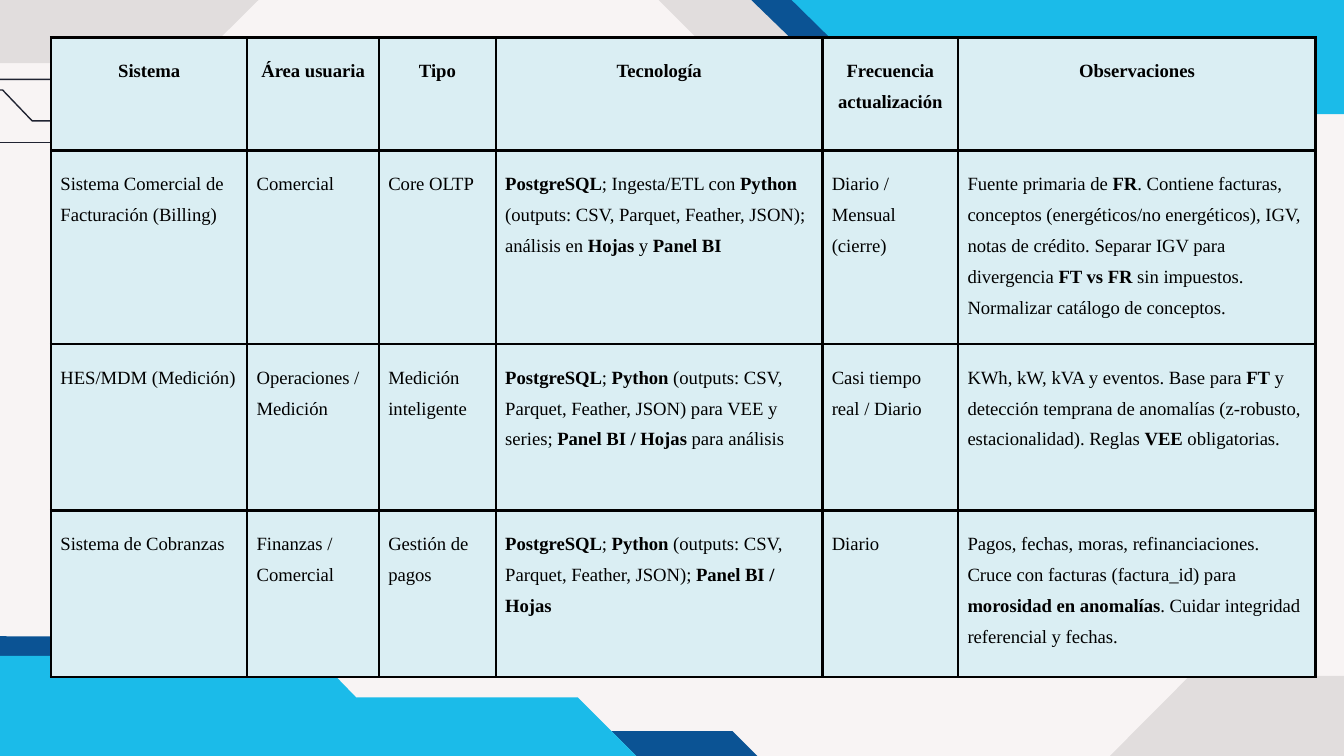
from lxml import etree
from pptx import Presentation
from pptx import util as u
from pptx.dml.color import RGBColor
from pptx.enum import shapes, text
from pptx.oxml import ns

COLORS = {
    "background": "F8F4F4",
    "black": "000000",
    "navy": "0B5394",
    "cyan": "1BBBE9",
    "line": "202331",
    "cell": "DAEEF3",
}
FONT = "Times New Roman"

# Outline points in inches, fill colour, opacity in percent
BANDS = [
    ([(1.45, 0.47), (2.58, -0.65), (4.25, -0.65), (5.36, 0.46), (9.46, 0.46),
      (9.46, -1.62), (-0.7, -1.62), (-0.7, 0.47)], "black", 9),
    ([(10.69, 5.03), (10.69, 7.04), (6.84, 7.05), (8.85, 5.03)], "black", 9),
    ([(5.65, 5.64), (5.45, 5.44), (4.55, 5.44), (4.75, 5.64)], "navy", 100),
    ([(7.15, 0.29), (6.85, 0), (5.59, 0), (5.89, 0.29)], "navy", 100),
    ([(-0.8, 4.73), (1, 4.74), (1.19, 4.93), (-0.8, 4.92)], "navy", 100),
    ([(10.74, 0.85), (10.74, -2.45), (5.15, -2.45), (5.15, -0.03), (5.86, -0.03),
      (6.45, 0.55), (8.09, 0.55), (8.4, 0.85)], "cyan", 100),
    ([(0, 4.88), (0, 8.18), (5.59, 8.18), (5.59, 5.77), (4.88, 5.77),
      (4.3, 5.19), (2.65, 5.19), (2.35, 4.88)], "cyan", 100),
]
CIRCUIT_TRACES = [
    [(-1.47, 0.67), (0.02, 0.67), (0.24, 0.9), (1.63, 0.9)],
    [(-1.42, 0.59), (0.44, 0.59), (0.62, 0.77), (1.19, 0.77)],
]

COLUMN_WIDTHS = [1.46, 0.98, 0.87, 2.43, 1.01, 2.66]
ROW_HEIGHTS = [0.84, 1.44, 1.24, 1.24]
# Text between double asterisks is bold
ROWS = [
    ["**Sistema**", "**Área usuaria**", "**Tipo**", "**Tecnología**",
     "**Frecuencia actualización**", "**Observaciones**"],
    ["Sistema Comercial de Facturación (Billing)", "Comercial", "Core OLTP",
     "**PostgreSQL**; Ingesta/ETL con **Python** (outputs: CSV, Parquet, Feather, JSON); "
     "análisis en **Hojas** y **Panel BI**",
     "Diario / Mensual (cierre)",
     "Fuente primaria de **FR**. Contiene facturas, conceptos (energéticos/no energéticos), "
     "IGV, notas de crédito. Separar IGV para divergencia **FT vs FR** sin impuestos. "
     "Normalizar catálogo de conceptos."],
    ["HES/MDM (Medición)", "Operaciones / Medición", "Medición inteligente",
     "**PostgreSQL**; **Python** (outputs: CSV, Parquet, Feather, JSON) para VEE y series; "
     "**Panel BI / Hojas** para análisis",
     "Casi tiempo real / Diario",
     "KWh, kW, kVA y eventos. Base para **FT** y detección temprana de anomalías "
     "(z-robusto, estacionalidad). Reglas **VEE** obligatorias."],
    ["Sistema de Cobranzas", "Finanzas / Comercial", "Gestión de pagos",
     "**PostgreSQL**; **Python** (outputs: CSV, Parquet, Feather, JSON); **Panel BI / Hojas**",
     "Diario",
     "Pagos, fechas, moras, refinanciaciones. Cruce con facturas (factura_id) para "
     "**morosidad en anomalías**. Cuidar integridad referencial y fechas."],
]


def color(name):
    return RGBColor.from_string(COLORS[name])


def add_outline(slide, points, close):
    corners = [(u.Inches(x), u.Inches(y)) for x, y in points]
    builder = slide.shapes.build_freeform(*corners[0])
    builder.add_line_segments(corners[1:], close=close)
    shape = builder.convert_to_shape()
    shape.shadow.inherit = False
    return shape


def style_line(line):
    line.color.rgb = color("line")
    line.width = u.Pt(0.75)


def add_band(slide, points, fill, opacity):
    shape = add_outline(slide, points, close=True)
    shape.fill.solid()
    shape.fill.fore_color.rgb = color(fill)
    shape.line.fill.background()
    if opacity < 100:
        fill_color = shape._element.spPr.find(f".//{ns.qn('a:srgbClr')}")
        etree.SubElement(fill_color, ns.qn("a:alpha"), val=str(opacity * 1000))


def add_trace(slide, points):
    shape = add_outline(slide, points, close=False)
    shape.fill.background()
    style_line(shape.line)


def add_straight_trace(slide, left, right, top):
    connector = slide.shapes.add_connector(
        shapes.MSO_CONNECTOR.STRAIGHT,
        u.Inches(left), u.Inches(top), u.Inches(right), u.Inches(top))
    style_line(connector.line)
    etree.SubElement(connector._element.spPr, ns.qn("a:effectLst"))


def add_borders(cell):
    properties = cell._tc.get_or_add_tcPr()
    for side in ("lnL", "lnR", "lnT", "lnB"):
        border = etree.SubElement(properties, ns.qn(f"a:{side}"), w=str(u.Pt(1.5)))
        fill = etree.SubElement(border, ns.qn("a:solidFill"))
        etree.SubElement(fill, ns.qn("a:srgbClr"), val=COLORS["black"])


def fill_cell(cell, content, alignment):
    add_borders(cell)
    cell.fill.solid()
    cell.fill.fore_color.rgb = color("cell")
    cell.margin_left = cell.margin_right = u.Inches(0.07)
    cell.margin_top = cell.margin_bottom = u.Inches(0.1)
    paragraph = cell.text_frame.paragraphs[0]
    paragraph.alignment = alignment
    paragraph.line_spacing = 1.5
    for index, part in enumerate(content.split("**")):
        if part:
            run = paragraph.add_run()
            run.text = part
            run.font.name = FONT
            run.font.size = u.Pt(10)
            run.font.bold = index % 2 == 1
            run.font.color.rgb = color("black")


def add_systems_table(slide):
    table = slide.shapes.add_table(
        len(ROWS), len(COLUMN_WIDTHS), u.Inches(0.38), u.Inches(0.28),
        u.Inches(sum(COLUMN_WIDTHS)), u.Inches(sum(ROW_HEIGHTS))).table
    table.first_row = table.horz_banding = False
    for column, width in zip(table.columns, COLUMN_WIDTHS):
        column.width = u.Inches(width)
    for row, height in zip(table.rows, ROW_HEIGHTS):
        row.height = u.Inches(height)
    for row_index, contents in enumerate(ROWS):
        alignment = text.PP_ALIGN.LEFT if row_index else text.PP_ALIGN.CENTER
        for column_index, content in enumerate(contents):
            fill_cell(table.cell(row_index, column_index), content, alignment)


def main():
    presentation = Presentation()
    presentation.slide_width = u.Inches(10)
    presentation.slide_height = u.Inches(10 * 9 / 16)
    slide = presentation.slides.add_slide(presentation.slide_layouts[6])
    slide.background.fill.solid()
    slide.background.fill.fore_color.rgb = color("background")
    for points, fill, opacity in BANDS:
        add_band(slide, points, fill, opacity)
    for points in CIRCUIT_TRACES:
        add_trace(slide, points)
    add_straight_trace(slide, -1.4, 1.85, 1.06)
    add_systems_table(slide)
    presentation.save("out.pptx")


if __name__ == "__main__":
    main()
